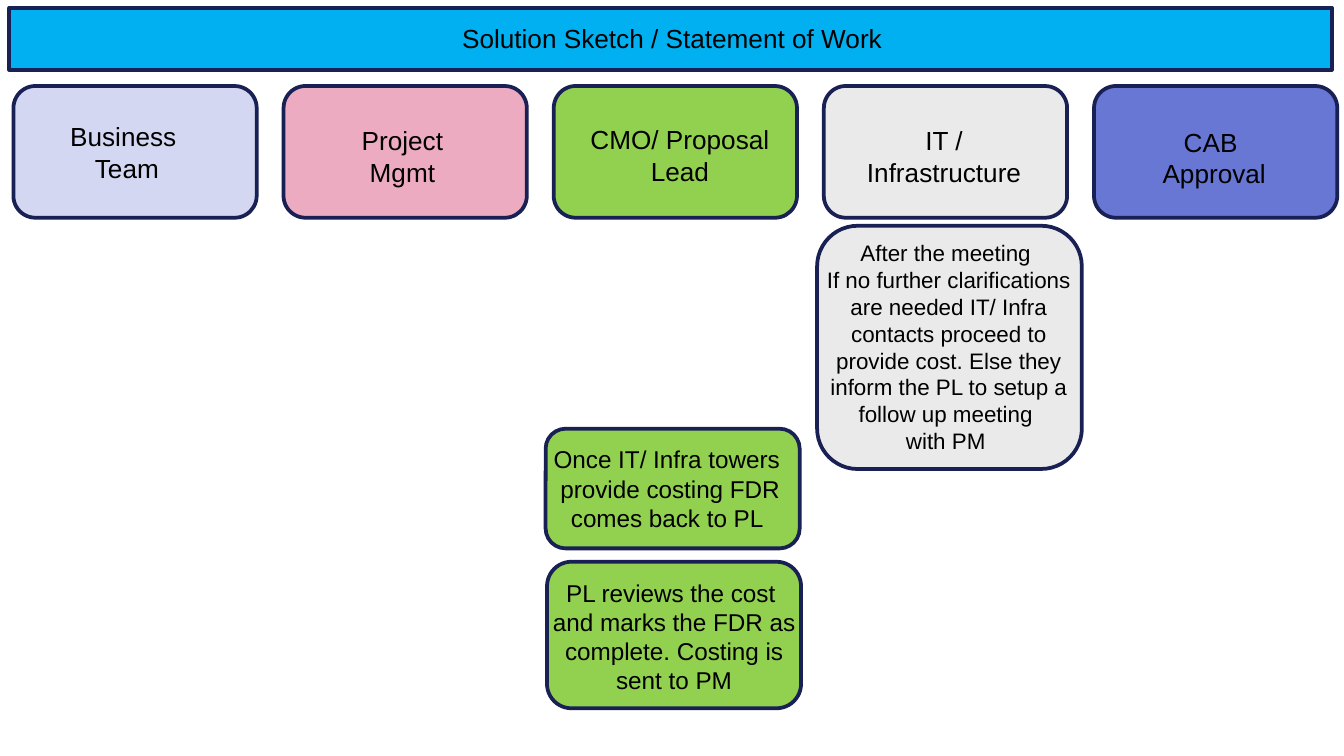
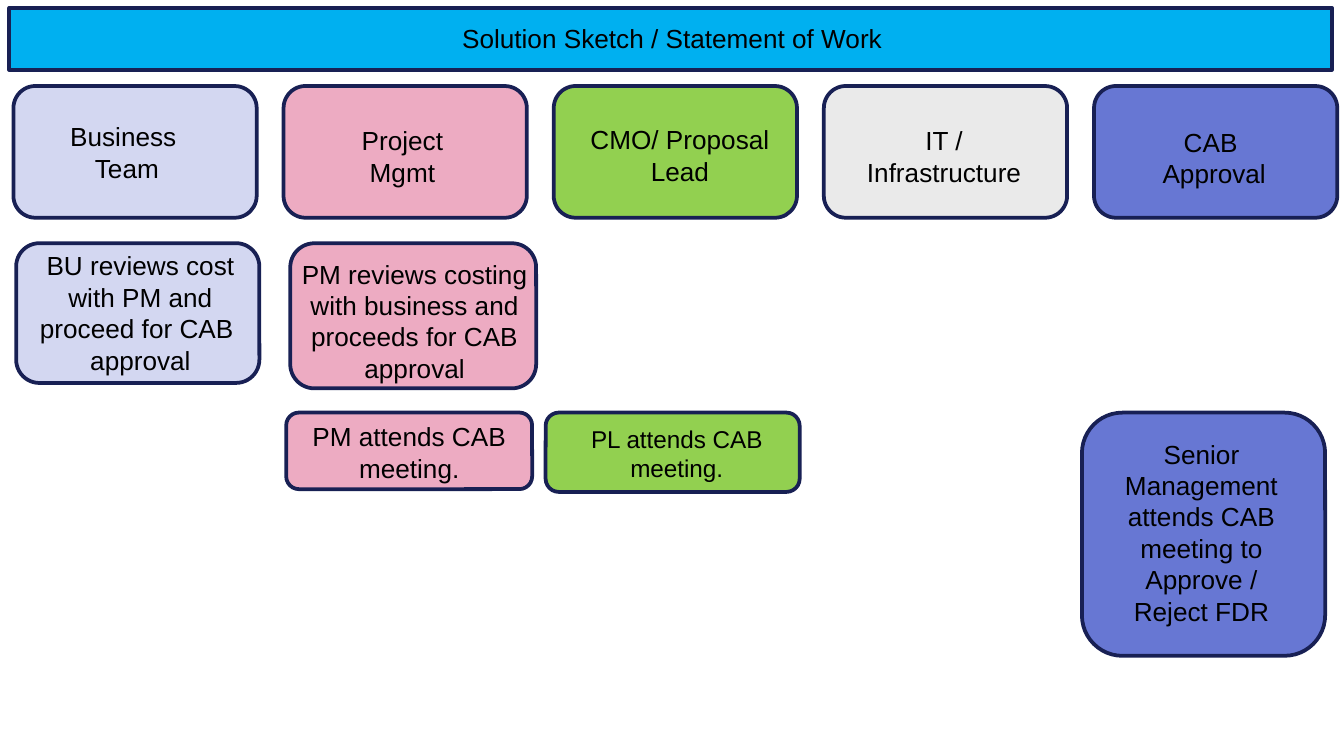
from pptx import Presentation
from pptx.dml.color import RGBColor
from pptx.enum.shapes import MSO_SHAPE as Kind
from pptx.enum.text import PP_ALIGN as Align
from pptx.util import Pt

PX = 9144  # EMU per px, 100 px to the inch
WIDE = 1000  # slide width, the height follows as 16:9

# Shared colours and font
FONT = "Arial"
INK, EDGE, BAR = "000000", "182054", "00B0F0"
BIZ, PM, LEAD, INFRA, CAB = "D3D7F1", "EDABC2", "92D050", "EAEAEA", "6777D3"

# Header row: fill, label box, label lines
LANES = [
    (BIZ, (33, 85, 123, 57), ["Business ", "Team"]),
    (PM, (238, 88, 123, 57), ["Project", "Mgmt"]),
    (LEAD, (428, 87, 156, 57), ["CMO/ Proposal", "Lead"]),
    (INFRA, (629, 88, 147, 57), ["IT / Infrastructure"]),
    (CAB, (842, 89, 123, 57), ["CAB ", "Approval"]),
]
LEFT, STEP = 10, 201

# Cards of each slide: fill, card box, text box, size, lines
COSTING = [
    (INFRA, (608, 168, 197, 181), (594, 173, 224, 172), 12,
     ["After the meeting ",
      "If no further clarifications are needed IT/ Infra contacts proceed to "
      "provide cost. Else they inform the PL to setup a follow up meeting ",
      "with PM "]),
    (LEAD, (406, 319, 189, 89), (398, 326, 201, 76), 13,
     ["Once IT/ Infra towers ", "provide costing FDR comes back to PL "]),
    (LEAD, (407, 418, 189, 109), (401, 425, 201, 98), 13,
     ["PL reviews the cost ",
      "and marks the FDR as complete. Costing is sent to PM"]),
]
APPROVAL = [
    (BIZ, (12, 181, 181, 104), (7, 181, 195, 104), 14,
     ["BU reviews cost with PM and proceed for CAB ", "approval"]),
    (PM, (216, 181, 183, 108), (198, 187, 221, 104), 14,
     ["PM reviews costing with business and proceeds for CAB approval"]),
    (PM, (213, 307, 183, 57), (194, 308, 221, 57), 14,
     ["PM attends CAB meeting."]),
    (LEAD, (406, 307, 189, 59), (403, 311, 201, 54), 13,
     ["PL attends CAB meeting."]),
    (CAB, (805, 307, 181, 181), (816, 321, 156, 151), 14,
     ["Senior Management attends CAB meeting to Approve / Reject FDR"]),
]


def rgb(code):
    return RGBColor.from_string(code)


def emu(box):
    return [n * PX for n in box]


def panel(group, box, fill, kind=Kind.ROUNDED_RECTANGLE):
    shape = group.shapes.add_shape(kind, *emu(box))
    shape.shadow.inherit = False
    shape.fill.solid()
    shape.fill.fore_color.rgb = rgb(fill)
    shape.line.color.rgb = rgb(EDGE)
    shape.line.width = Pt(2)


def label(group, box, lines, size=14, align=Align.CENTER):
    frame = group.shapes.add_textbox(*emu(box)).text_frame
    frame.word_wrap = True
    for i, line in enumerate(lines):
        para = frame.add_paragraph() if i else frame.paragraphs[0]
        para.alignment = align
        run = para.add_run()
        run.text = line
        run.font.name = FONT
        run.font.size = Pt(size)
        run.font.color.rgb = rgb(INK)


def header(slide):
    group = slide.shapes.add_group_shape()
    panel(group, (7, 6, 984, 46), BAR, Kind.RECTANGLE)
    label(group, (334, 12, 376, 34), ["Solution Sketch / Statement of Work"],
          align=Align.LEFT)
    for i, (fill, box, lines) in enumerate(LANES):
        panel(group, (LEFT + i * STEP, 64, 181, 98), fill)
        label(group, box, lines)


def card(slide, fill, box, area, size, lines):
    group = slide.shapes.add_group_shape()
    panel(group, box, fill)
    label(group, area, lines, size)


def main():
    deck = Presentation()
    deck.slide_width = WIDE * PX
    deck.slide_height = WIDE * PX * 9 // 16
    for cards in (COSTING, APPROVAL):
        slide = deck.slides.add_slide(deck.slide_layouts[6])
        for item in cards:
            card(slide, *item)
        header(slide)
    deck.save("out.pptx")


if __name__ == "__main__":
    main()
